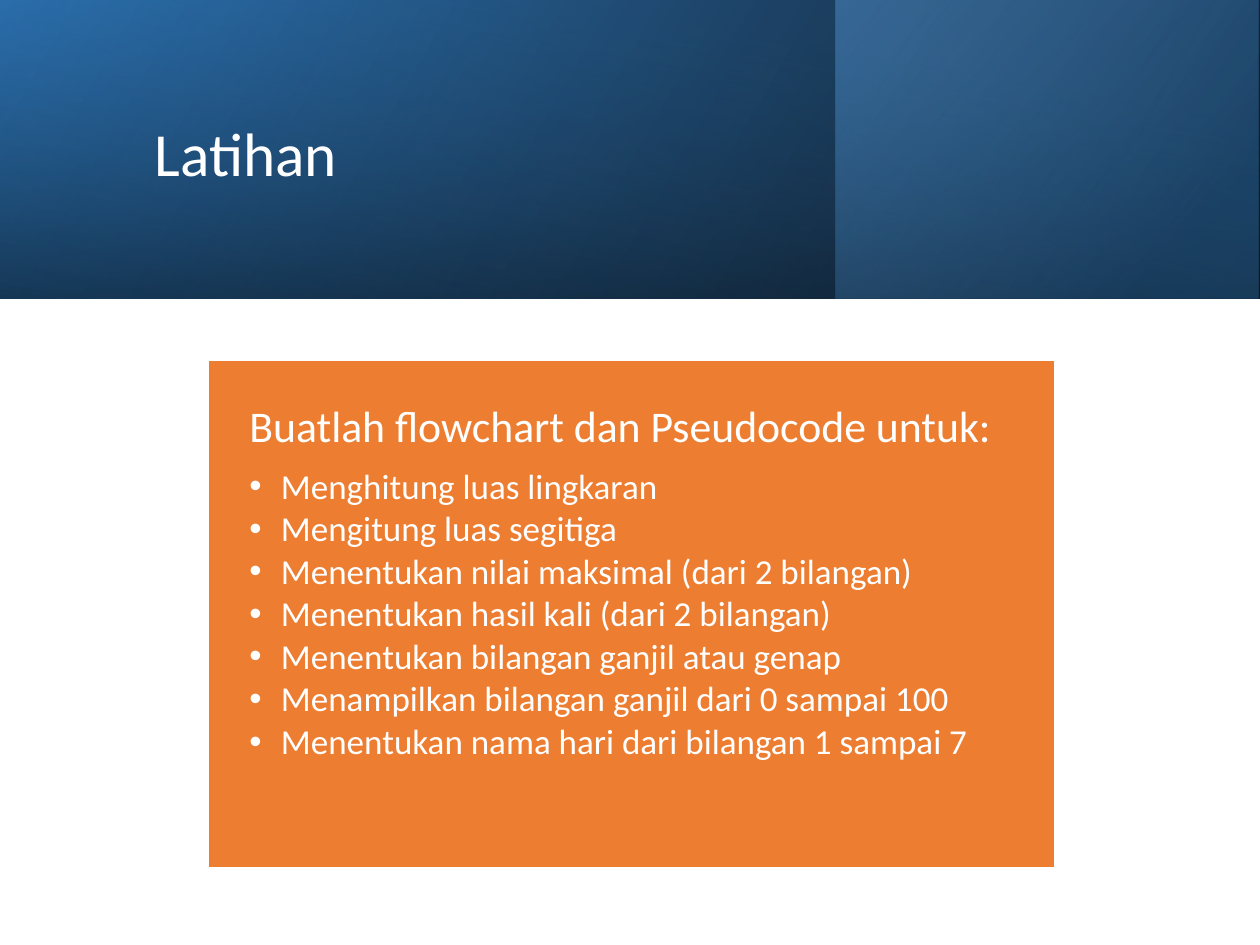
from dataclasses import dataclass

from lxml import etree
from pptx import Presentation
from pptx.dml.color import RGBColor
from pptx.enum import shapes, text
from pptx.oxml import ns
from pptx.util import Inches, Pt


@dataclass(frozen=True)
class Theme:
    font: str = "Calibri"
    white: str = "FFFFFF"
    black: str = "000000"
    navy: str = "1F4E79"
    blue: str = "2E75B6"
    sky: str = "5B9BD5"
    orange: str = "ED7D31"
    title: float = 35
    head: float = 25
    item: float = 20


@dataclass(frozen=True)
class Stop:
    place: float
    color: str
    alpha: int  # percent


@dataclass(frozen=True)
class Band:
    left: float
    width: float
    angle: float  # clockwise degrees
    stops: tuple[Stop, Stop]


LOOK = Theme()
BAND_H = 2.37
BANDS = (
    Band(0, 10, 210, (Stop(0, LOOK.black, 96), Stop(1, LOOK.blue, 100))),
    Band(6.63, 3.36, 220, (Stop(0.19, LOOK.navy, 68), Stop(1, LOOK.sky, 48))),
    Band(0, 10, 100, (Stop(0.23, LOOK.blue, 16), Stop(0.99, LOOK.black, 45))),
)
HEAD = "Buatlah flowchart dan Pseudocode untuk:"
ITEMS = (
    "Menghitung luas lingkaran",
    "Mengitung luas segitiga",
    "Menentukan nilai maksimal (dari 2 bilangan)",
    "Menentukan hasil kali (dari 2 bilangan)",
    "Menentukan bilangan ganjil atau genap",
    "Menampilkan bilangan ganjil dari 0 sampai 100",
    "Menentukan nama hari dari bilangan 1 sampai 7",
)


def add_rect(slide, left: float, top: float, width: float, height: float):
    rect = slide.shapes.add_shape(
        shapes.MSO_SHAPE.RECTANGLE,
        Inches(left), Inches(top), Inches(width), Inches(height))
    rect.shadow.inherit = False
    return rect


def add_band(slide, band: Band) -> None:
    rect = add_rect(slide, band.left, 0, band.width, BAND_H)
    rect.line.fill.background()
    rect.fill.gradient()
    rect.fill.gradient_angle = 360 - band.angle
    for mark, stop in zip(rect.fill.gradient_stops, band.stops):
        mark.position = stop.place
        mark.color.rgb = RGBColor.from_string(stop.color)
    # Transparency of each stop
    colors = rect._element.spPr.iter(ns.qn("a:srgbClr"))
    for color, stop in zip(colors, band.stops):
        etree.SubElement(color, ns.qn("a:alpha"), val=str(stop.alpha * 1000))


def style(para, size: float, after: float = 0) -> None:
    para.alignment = text.PP_ALIGN.LEFT
    para.line_spacing = 0.9
    para.space_after = Pt(after)
    for run in para.runs:
        run.font.name = LOOK.font
        run.font.size = Pt(size)
        run.font.color.rgb = RGBColor.from_string(LOOK.white)


def add_bullet(para) -> None:
    props = para._p.get_or_add_pPr()
    props.set("marL", str(Inches(0.25)))
    props.set("indent", str(-Inches(0.25)))
    etree.SubElement(props, ns.qn("a:buFont"), typeface="Arial")
    etree.SubElement(props, ns.qn("a:buChar"), char="•")


def add_title(slide, words: str) -> None:
    box = slide.shapes.add_textbox(
        Inches(1.13), Inches(0.38), Inches(7.97), Inches(1.72))
    frame = box.text_frame
    frame.word_wrap = True
    frame.vertical_anchor = text.MSO_ANCHOR.MIDDLE
    frame.text = words
    style(frame.paragraphs[0], LOOK.title)


def add_card(slide) -> None:
    card = add_rect(slide, 1.65, 2.86, 6.72, 4.03)
    card.fill.solid()
    card.fill.fore_color.rgb = RGBColor.from_string(LOOK.orange)
    card.line.color.rgb = RGBColor.from_string(LOOK.white)
    card.line.width = Pt(1)
    frame = card.text_frame
    frame.word_wrap = True
    frame.vertical_anchor = text.MSO_ANCHOR.TOP
    frame.margin_left = frame.margin_right = Inches(0.33)
    frame.margin_top = frame.margin_bottom = Inches(0.35)
    frame.text = "\n".join((HEAD, *ITEMS))
    head, *items = frame.paragraphs
    style(head, LOOK.head, after=10)
    for item in items:
        item.level = 1
        style(item, LOOK.item, after=2.7)
        add_bullet(item)


def main() -> None:
    deck = Presentation()
    deck.slide_width, deck.slide_height = Inches(10), Inches(7.5)
    slide = deck.slides.add_slide(deck.slide_layouts[6])

    # Header
    for band in BANDS:
        add_band(slide, band)
    add_title(slide, "Latihan")

    # Exercise list
    add_card(slide)
    deck.save("out.pptx")


if __name__ == "__main__":
    main()
